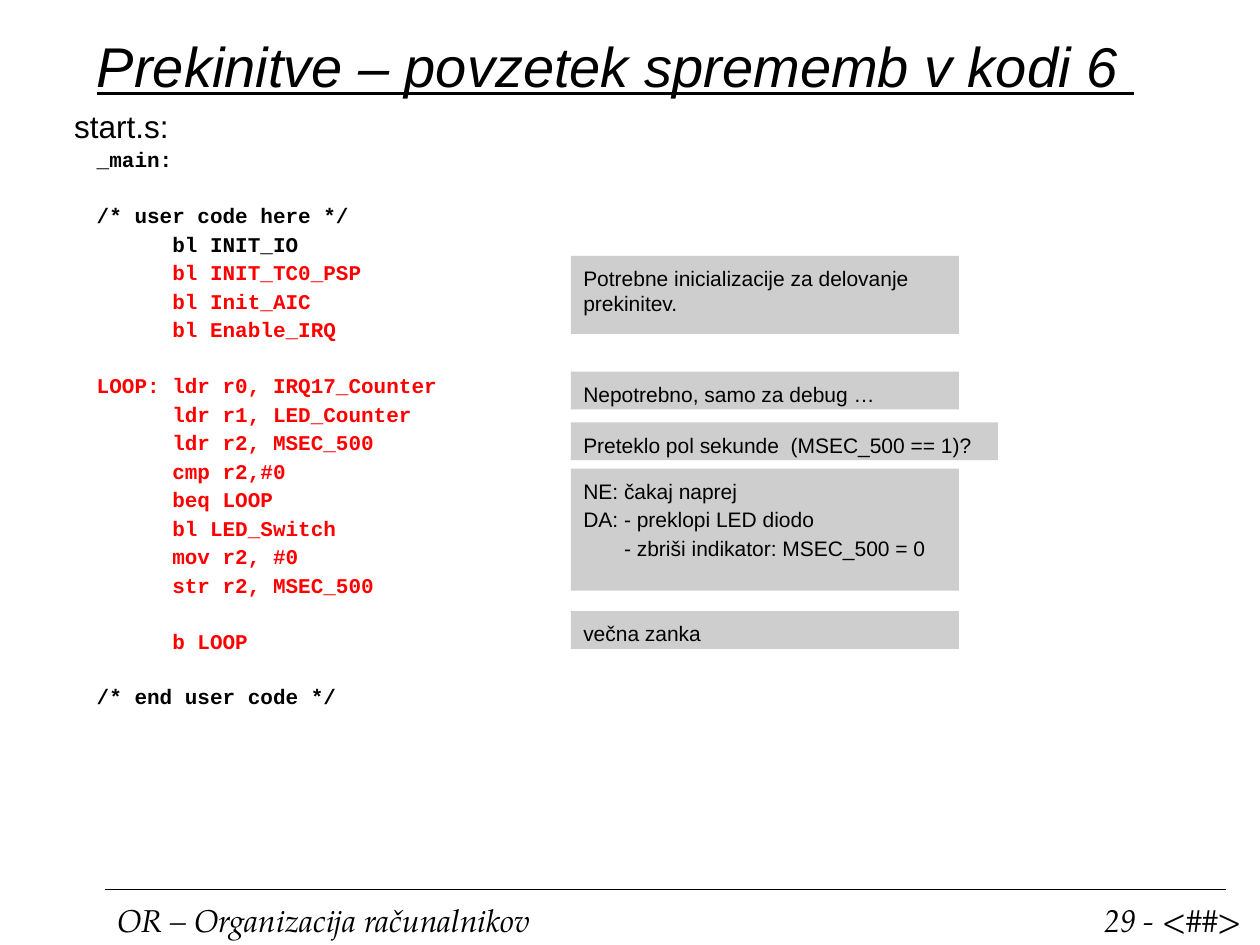
from lxml import etree
from pptx import Presentation
from pptx.dml.color import RGBColor
from pptx.enum import shapes, text
from pptx.oxml.ns import qn
from pptx.util import Pt

BLACK = RGBColor(0, 0, 0)
RED = RGBColor(255, 0, 0)
GRAY = RGBColor(0xCE, 0xCE, 0xCE)

PLAIN = {"name": "Arial", "size": Pt(12)}
HEAD = {"name": "Arial", "size": Pt(18)}
TITLE = {"name": "Arial", "size": Pt(32), "italic": True, "underline": True}
CODE = {"name": "Courier New", "size": Pt(12), "bold": True}
FOOT = {"name": "TeX Gyre Pagella", "size": Pt(18), "italic": True}

GAP = 1.9    # space between lines
PITCH = 15.6  # height of one code line with its gap

# Groups of code lines, set apart by one empty line
GROUPS = [
    [("_main:", BLACK)],
    [("/* user code here */", BLACK),
     ("      bl INIT_IO", BLACK),
     ("      bl INIT_TC0_PSP", RED),
     ("      bl Init_AIC", RED),
     ("      bl Enable_IRQ", RED)],
    [("LOOP: ldr r0, IRQ17_Counter", RED),
     ("      ldr r1, LED_Counter", RED),
     ("      ldr r2, MSEC_500", RED),
     ("      cmp r2,#0", RED),
     ("      beq LOOP", RED),
     ("      bl LED_Switch", RED),
     ("      mov r2, #0", RED),
     ("      str r2, MSEC_500", RED)],
    [("      b LOOP", RED)],
    [("/* end user code */", BLACK)],
]

# Top, width, height, lines as (text, indent)
NOTES = [
    (146.2, 221.8, 44.6,
     [("Potrebne inicializacije za delovanje prekinitev.", 0)]),
    (212.4, 221.8, 21.6, [("Nepotrebno, samo za debug …", 0)]),
    (241.4, 244.1, 21.6, [("Preteklo pol sekunde  (MSEC_500 == 1)?", 0)]),
    (267.8, 221.8, 69.8,
     [("NE: čakaj naprej", 0),
      ("DA: - preklopi LED diodo", 0),
      ("- zbriši indikator: MSEC_500 = 0", 23.3)]),
    (349.2, 221.8, 21.6, [("večna zanka", 0)]),
]


def style(font, look, color=BLACK):
    for key, val in look.items():
        setattr(font, key, val)
    font.color.rgb = color


def setup(frame, top=3.6, wrap=True, anchor=text.MSO_ANCHOR.TOP):
    vals = {"margin_left": Pt(7.2), "margin_right": Pt(7.2),
            "margin_top": Pt(top), "margin_bottom": Pt(3.6),
            "word_wrap": wrap, "auto_size": text.MSO_AUTO_SIZE.NONE,
            "vertical_anchor": anchor}
    for key, val in vals.items():
        setattr(frame, key, val)


def add_line(frame, words, look, color=BLACK, before=0, indent=0):
    """Fill the first paragraph if it is empty, else append one."""
    para = frame.paragraphs[0]
    if para.runs:
        para = frame.add_paragraph()
        para.space_before = Pt(before)
    para.alignment = text.PP_ALIGN.LEFT
    if indent:
        para._p.get_or_add_pPr().set("marL", str(Pt(indent)))
    run = para.add_run()
    run.text = words
    style(run.font, look, color)


def add_box(slide, box, top=3.6, wrap=True):
    frame = slide.shapes.add_textbox(*map(Pt, box)).text_frame
    setup(frame, top, wrap)
    return frame


def add_title(slide, words):
    title = slide.shapes.title
    for key, val in zip(("left", "top", "width", "height"),
                        (48.2, 15.1, 640.8, 44.6)):
        setattr(title, key, Pt(val))
    setup(title.text_frame, anchor=text.MSO_ANCHOR.MIDDLE)
    add_line(title.text_frame, words, TITLE)


def add_code(slide):
    frame = add_box(slide, (48.2, 78.5, 697.7, 325.4), 3.6 + GAP)
    for group in GROUPS:
        for i, (words, color) in enumerate(group):
            before = GAP if i else GAP + PITCH
            add_line(frame, words, CODE, color, before)


def add_note(slide, top, width, height, lines):
    note = slide.shapes.add_shape(shapes.MSO_SHAPE.RECTANGLE, Pt(326.2),
                                  Pt(top), Pt(width), Pt(height))
    note.shadow.inherit = False
    note.fill.solid()
    note.fill.fore_color.rgb = GRAY
    note.line.fill.background()
    setup(note.text_frame, 3.6 + GAP)
    for words, indent in lines:
        add_line(note.text_frame, words, PLAIN, BLACK, GAP, indent)


def add_footer(slide):
    frame = add_box(slide, (59.8, 511.2, 255.6, 28.8), wrap=False)
    add_line(frame, "OR – Organizacija računalnikov", FOOT)
    frame = add_box(slide, (624.2, 511.2, 95.8, 28.8))
    add_line(frame, "29 - <##>", FOOT)
    rule = slide.shapes.add_connector(shapes.MSO_CONNECTOR.STRAIGHT, Pt(59.8),
                                      Pt(508.3), Pt(700.6), Pt(508.3))
    rule.line.color.rgb = BLACK
    rule.line.width = Pt(1)
    etree.SubElement(rule._element.spPr, qn("a:effectLst"))


def main():
    deck = Presentation()
    deck.slide_width, deck.slide_height = Pt(720), Pt(540)
    slide = deck.slides.add_slide(deck.slide_layouts[5])
    add_footer(slide)
    add_title(slide, "Prekinitve – povzetek sprememb v kodi 6 ")
    frame = add_box(slide, (35.3, 54.7, 663.8, 28.8), 6.3)
    add_line(frame, "start.s:", HEAD)
    add_code(slide)
    for note in NOTES:
        add_note(slide, *note)
    deck.save("out.pptx")


if __name__ == "__main__":
    main()
